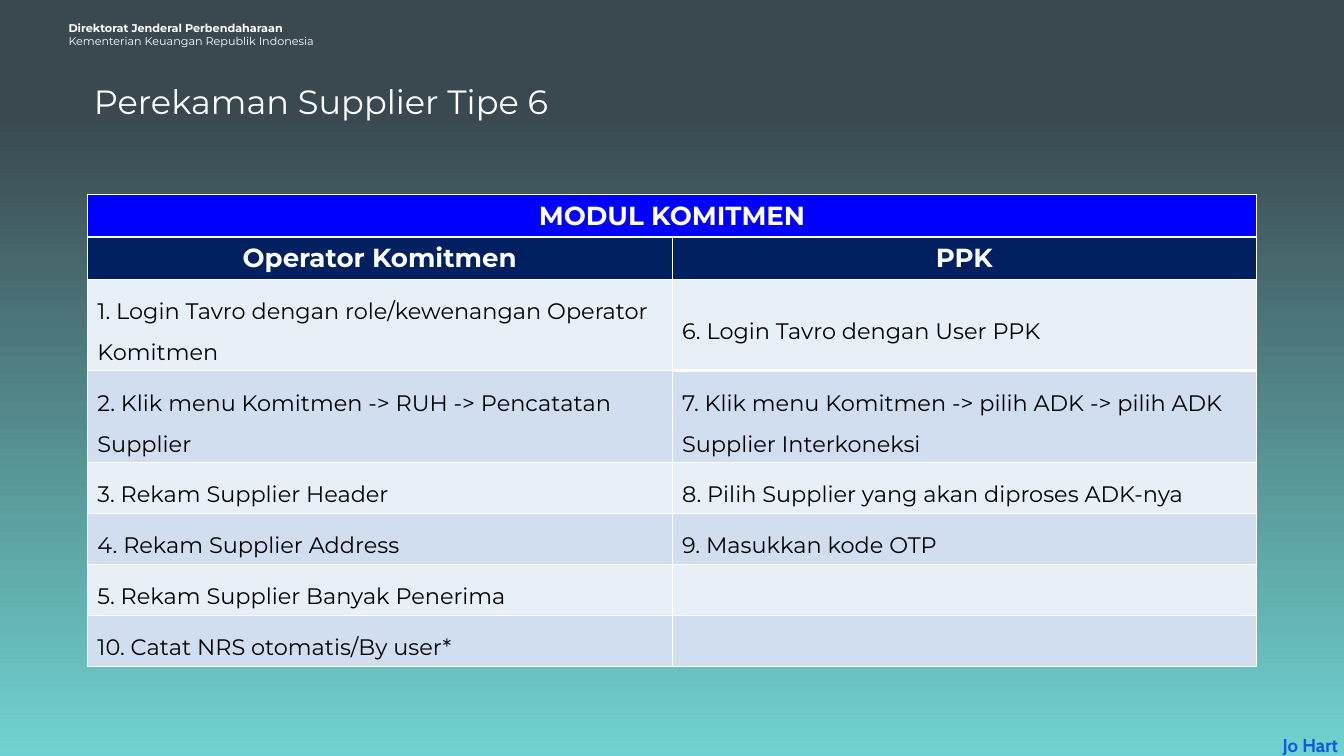
from lxml import etree
from pptx import Presentation
from pptx.dml.color import RGBColor as RGB
from pptx.enum.text import MSO_ANCHOR as Anchor, PP_ALIGN as Align
from pptx.oxml.ns import qn
from pptx.util import Inches, Pt

WHITE = RGB(0xFF, 0xFF, 0xFF)
BLACK = RGB(0, 0, 0)
SLATE = RGB(0x3A, 0x49, 0x50)
TEAL = RGB(0x70, 0xD2, 0xD0)
BLUE = RGB(0x00, 0x00, 0xFF)
NAVY = RGB(0x00, 0x20, 0x60)
PALE = RGB(0xE9, 0xEF, 0xF7)
LIGHT = RGB(0xD0, 0xDE, 0xEF)
LINK = RGB(0x0D, 0x5B, 0xDC)
SANS = "Montserrat"

prs = Presentation()
prs.slide_width = Inches(20)
prs.slide_height = Inches(11.25)
slide = prs.slides.add_slide(prs.slide_layouts[6])


def style(par, size, color, bold=False, face=SANS):
    for run in par.runs:
        run.font.size = Pt(size)
        run.font.name = face
        run.font.bold = bold
        run.font.color.rgb = color


def add_text(left, top, width, height, text, pad_x, pad_y):
    box = slide.shapes.add_textbox(Inches(left), Inches(top), Inches(width), Inches(height))
    frame = box.text_frame
    frame.word_wrap = True
    frame.margin_left = frame.margin_right = Inches(pad_x)
    frame.margin_top = frame.margin_bottom = Inches(pad_y)
    frame.text = text
    return frame.paragraphs


# Background, dark at the top
fill = slide.background.fill
fill.gradient()
fill.gradient_angle = 270
for stop, color, pos in zip(fill.gradient_stops, (SLATE, TEAL), (0.15, 1)):
    stop.color.rgb = color
    stop.position = pos

# Office name and signature
office = add_text(0.82, 0.11, 6.96, 0.81,
                  "Direktorat Jenderal Perbendaharaan\nKementerian Keuangan Republik Indonesia",
                  0.2, 0.2)
style(office[0], 12, WHITE, True)
style(office[1], 12, WHITE)

sign = add_text(18.83, 10.87, 1.34, 0.45, "Jo Hart", 0.1, 0.05)[0]
sign.alignment = Align.CENTER
style(sign, 20, LINK, True, "Cabin")

# Table of steps
rows = [
    ("MODUL KOMITMEN", ""),
    ("Operator Komitmen", "PPK"),
    ("1. Login Tavro dengan role/kewenangan Operator Komitmen",
     "6. Login Tavro dengan User PPK"),
    ("2. Klik menu Komitmen -> RUH -> Pencatatan Supplier",
     "7. Klik menu Komitmen -> pilih ADK -> pilih ADK Supplier Interkoneksi"),
    ("3. Rekam Supplier Header", "8. Pilih Supplier yang akan diproses ADK-nya"),
    ("4. Rekam Supplier Address", "9. Masukkan kode OTP"),
    ("5. Rekam Supplier Banyak Penerima", ""),
    ("10. Catat NRS otomatis/By user*", ""),
]
highs = [0.62] * 2 + [1.35] * 2 + [0.75] * 4
fills = [BLUE, NAVY] + [PALE, LIGHT] * 3
thick = {(0, 0, "B"), (0, 1, "B"), (1, 0, "T"), (1, 1, "T"), (2, 1, "B"), (3, 1, "T")}

table = slide.shapes.add_table(len(rows), 2, Inches(1.3), Inches(2.9),
                               Inches(17.4), Inches(sum(highs))).table
for col in table.columns:
    col.width = Inches(8.7)
table.cell(0, 0).merge(table.cell(0, 1))

for r, texts in enumerate(rows):
    table.rows[r].height = Inches(highs[r])
    for c, text in enumerate(texts):
        cell = table.cell(r, c)
        cell.fill.solid()
        cell.fill.fore_color.rgb = fills[r]
        cell.vertical_anchor = Anchor.MIDDLE
        cell.margin_left = cell.margin_right = Inches(0.15)
        cell.margin_top = cell.margin_bottom = Inches(0.08)
        if text:
            cell.text_frame.text = text
            par = cell.text_frame.paragraphs[0]
            if r < 2:
                par.alignment = Align.CENTER
                style(par, 28, WHITE, True)
            else:
                par.line_spacing = 1.5
                style(par, 24, BLACK)

        # White cell borders
        props = cell._tc.get_or_add_tcPr()
        for i, side in enumerate("LRTB"):
            width = Pt(3 if (r, c, side) in thick else 1)
            line = etree.Element(qn("a:ln" + side), w=str(width))
            solid = etree.SubElement(line, qn("a:solidFill"))
            etree.SubElement(solid, qn("a:srgbClr"), val=str(WHITE))
            props.insert(i, line)

# Title
title = add_text(1.3, 1.1, 10, 0.81, "Perekaman Supplier Tipe 6", 0.1, 0.1)[0]
style(title, 36, WHITE)

prs.save("out.pptx")
